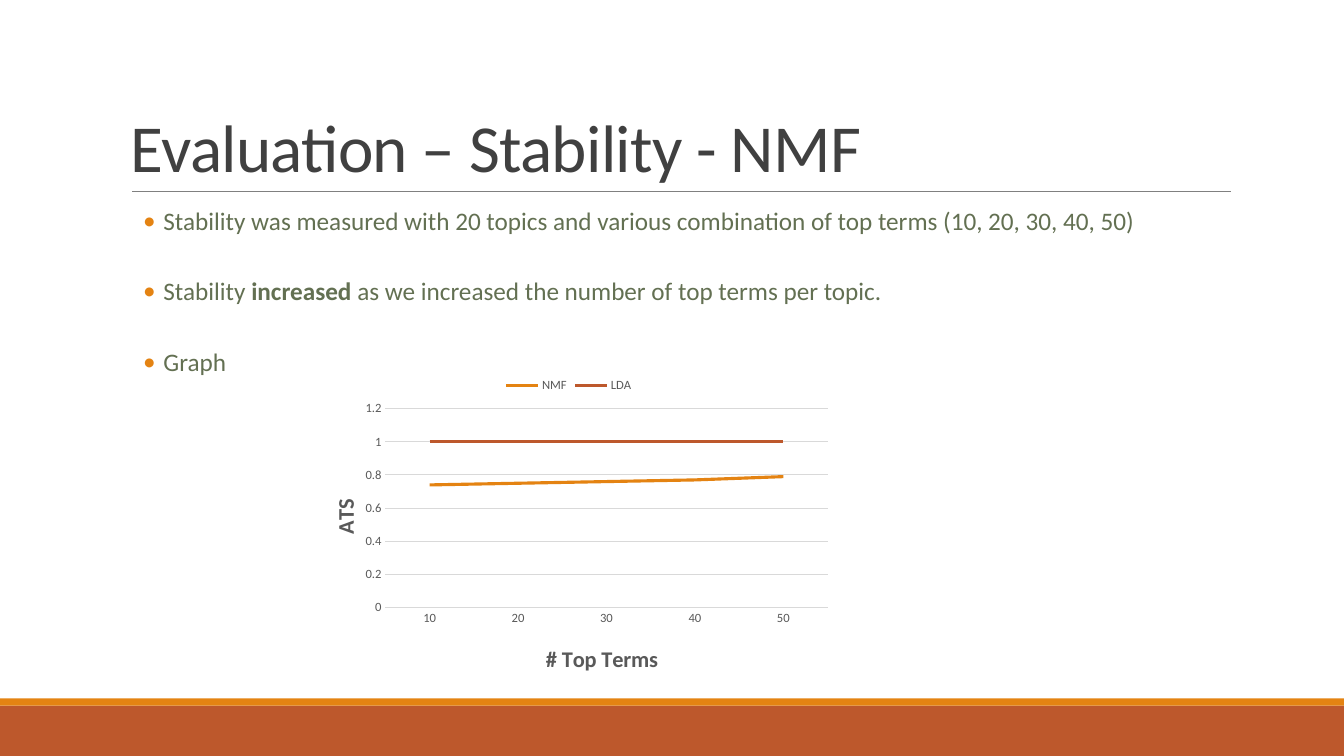
from dataclasses import dataclass
from typing import Any

from lxml import etree
from pptx import Presentation
from pptx import util as u
from pptx.chart.data import CategoryChartData
from pptx.dml.color import RGBColor
from pptx.enum import chart as ch, shapes, text
from pptx.oxml import parse_xml
from pptx.oxml.ns import nsdecls, qn

FONT = "Calibri"
ORANGE, RUST, OLIVE = "E48312", "BD582C", "637052"
DARK, GREY, PALE, RULE = "404040", "595959", "D9D9D9", "808080"


@dataclass
class Box:
    left: float
    top: float
    width: float
    height: float

    def lengths(self) -> list[int]:
        return [u.Cm(v) for v in (self.left, self.top, self.width, self.height)]


@dataclass
class Band:
    box: Box
    color: str


@dataclass
class Bullet:
    spans: list[tuple[str, bool]]
    space_before: float


@dataclass
class Series:
    name: str
    values: list[float]
    color: str


@dataclass
class AxisTitle:
    words: str
    left: float
    top: float
    rotation: int


BANDS = [
    Band(Box(0, 17.78, 33.87, 1.27), RUST),
    Band(Box(0, 17.6, 33.87, 0.18), ORANGE),
]
BULLETS = [
    Bullet([("Stability was measured with 20 topics and various combination "
             "of top terms (10, 20, 30, 40, 50)", False)], 2),
    Bullet([("Stability ", False), ("increased", True),
            (" as we increased the number of top terms per topic.", False)], 27),
    Bullet([("Graph", False)], 27),
]
TERMS = ["10", "20", "30", "40", "50"]
SERIES = [
    Series("NMF", [0.74, 0.75, 0.76, 0.77, 0.79], ORANGE),
    Series("LDA", [1, 1, 1, 1, 1], RUST),
]


def rgb(color: str) -> RGBColor:
    return RGBColor.from_string(color)


def assign(target: Any, values: dict[str, Any]) -> None:
    for name, value in values.items():
        setattr(target, name, value)


def style_font(font: Any, size: float, color: str, bold: bool = False) -> None:
    assign(font, {"name": FONT, "size": u.Pt(size), "bold": bold})
    font.color.rgb = rgb(color)


def style_line(line: Any, color: str, width: float) -> None:
    line.color.rgb = rgb(color)
    line.width = u.Pt(width)


def add_band(page: Any, band: Band) -> None:
    shape = page.shapes.add_shape(shapes.MSO_SHAPE.RECTANGLE, *band.box.lengths())
    shape.shadow.inherit = False
    shape.fill.solid()
    shape.fill.fore_color.rgb = rgb(band.color)
    shape.line.fill.background()


def add_rule(page: Any, left: float, right: float, top: float) -> None:
    rule = page.shapes.add_connector(
        shapes.MSO_CONNECTOR.STRAIGHT, u.Cm(left), u.Cm(top), u.Cm(right), u.Cm(top))
    style_line(rule.line, RULE, 0.5)
    etree.SubElement(rule._element.spPr, qn("a:effectLst"))


def add_title(page: Any, box: Box, words: str) -> None:
    frame = page.shapes.add_textbox(*box.lengths()).text_frame
    assign(frame, {"word_wrap": True, "vertical_anchor": text.MSO_ANCHOR.BOTTOM})
    para = frame.paragraphs[0]
    para.line_spacing = 0.85
    span = para.add_run()
    span.text = words
    style_font(span.font, 48, DARK)
    span._r.get_or_add_rPr().set("spc", "-50")


def add_bullets(page: Any, box: Box, bullets: list[Bullet]) -> None:
    frame = page.shapes.add_textbox(*box.lengths()).text_frame
    assign(frame, {"word_wrap": True, "margin_left": 0, "margin_right": 0})
    for index, bullet in enumerate(bullets):
        para = frame.add_paragraph() if index else frame.paragraphs[0]
        assign(para, {"line_spacing": 0.9, "space_after": u.Pt(4),
                      "space_before": u.Pt(bullet.space_before)})
        props = para._p.get_or_add_pPr()
        props.set("marL", str(u.Cm(1.07)))
        props.set("indent", str(u.Cm(-0.51)))
        color = etree.SubElement(props, qn("a:buClr"))
        etree.SubElement(color, qn("a:srgbClr")).set("val", ORANGE)
        etree.SubElement(props, qn("a:buFont")).set("typeface", FONT)
        etree.SubElement(props, qn("a:buChar")).set("char", "•")
        for words, bold in bullet.spans:
            span = para.add_run()
            span.text = words
            style_font(span.font, 18, OLIVE, bold)


def place(element: Any, index: int, values: dict[str, Any]) -> None:
    """Give a chart element a fixed layout, as fractions of the chart."""
    for old in element.findall(qn("c:layout")):
        element.remove(old)
    inner = "".join(f'<c:{name} val="{value}"/>' for name, value in values.items())
    element.insert(index, parse_xml(
        f'<c:layout {nsdecls("c")}><c:manualLayout>{inner}</c:manualLayout></c:layout>'))


def style_axis(axis: Any, title: AxisTitle) -> None:
    assign(axis, {"major_tick_mark": ch.XL_TICK_MARK.NONE,
                  "minor_tick_mark": ch.XL_TICK_MARK.NONE})
    style_font(axis.tick_labels.font, 9, GREY)
    frame = axis.axis_title.text_frame
    span = frame.paragraphs[0].add_run()
    span.text = title.words
    style_font(span.font, 16, GREY, True)
    frame._txBody.bodyPr.set("rot", str(title.rotation * 60000))
    frame._txBody.bodyPr.set("vert", "horz")
    place(axis.axis_title._element, 1,
          {"xMode": "edge", "yMode": "edge", "x": title.left, "y": title.top})


def add_stability_chart(page: Any, box: Box) -> None:
    data = CategoryChartData()
    data.categories = TERMS
    for series in SERIES:
        data.add_series(series.name, series.values)
    chart = page.shapes.add_chart(ch.XL_CHART_TYPE.LINE, *box.lengths(), data).chart
    style_font(chart.font, 10, "000000")
    assign(chart, {"has_title": False, "has_legend": True})
    assign(chart.legend, {"position": ch.XL_LEGEND_POSITION.TOP,
                          "include_in_layout": False})
    style_font(chart.legend.font, 9, GREY)
    chart.plots[0].vary_by_categories = False
    for line, series in zip(chart.plots[0].series, SERIES):
        line.smooth = False
        style_line(line.format.line, series.color, 2.25)

    # Axes
    style_axis(chart.category_axis, AxisTitle("# Top Terms", 0.45, 0.85, 0))
    style_line(chart.category_axis.format.line, PALE, 0.75)
    value_axis = chart.value_axis
    assign(value_axis, {"minimum_scale": 0, "maximum_scale": 1.2, "major_unit": 0.2})
    style_axis(value_axis, AxisTitle("ATS", 0.05, 0.4, -90))
    value_axis.format.line.fill.background()
    style_line(value_axis.major_gridlines.format.line, PALE, 0.75)
    place(chart._chartSpace.chart.plotArea, 0,
          {"layoutTarget": "inner", "xMode": "edge", "yMode": "edge",
           "x": 0.16, "y": 0.13, "w": 0.82, "h": 0.62})


def main() -> None:
    deck = Presentation()
    assign(deck, {"slide_width": u.Cm(33.87), "slide_height": u.Cm(19.05)})
    page = deck.slides.add_slide(deck.slide_layouts[6])
    # Footer bands and title rule
    for band in BANDS:
        add_band(page, band)
    add_rule(page, 3.33, 31.01, 4.83)
    # Text and chart
    add_title(page, Box(3.05, 0.79, 27.94, 4.04), "Evaluation – Stability - NMF")
    add_bullets(page, Box(3.05, 5.13, 27.94, 11.18), BULLETS)
    add_stability_chart(page, Box(7.54, 9.25, 13.59, 8.08))
    deck.save("out.pptx")


if __name__ == "__main__":
    main()
